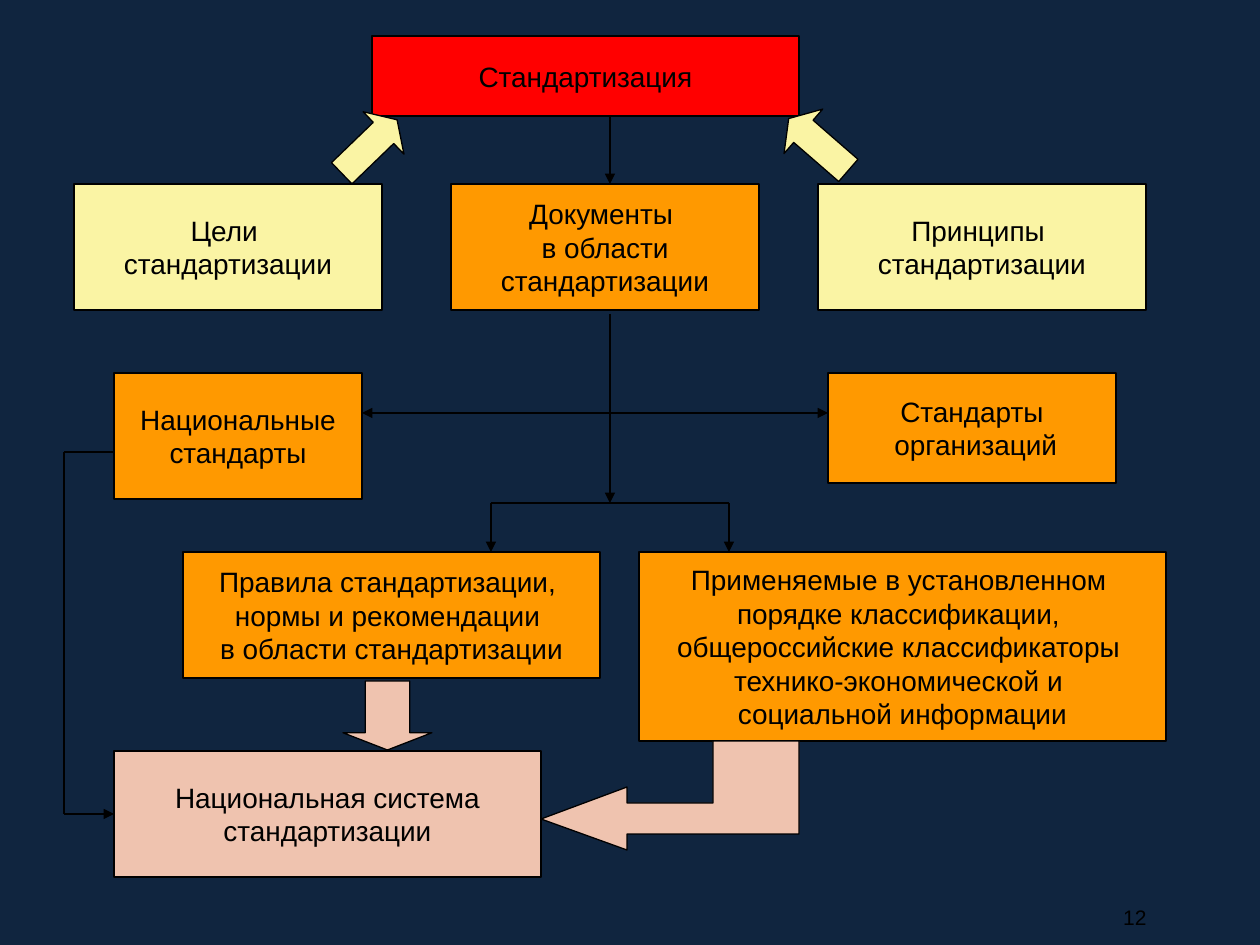
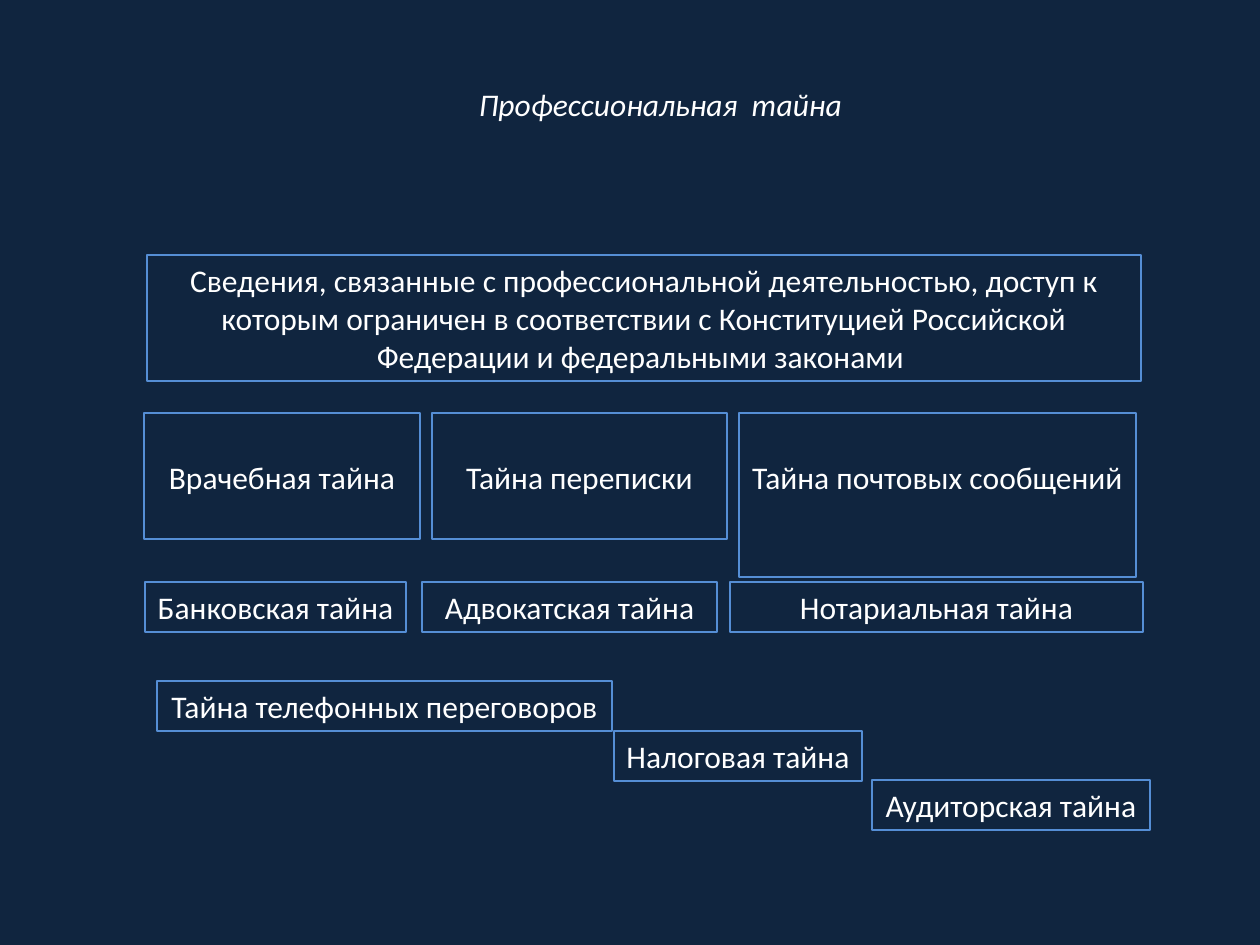
import dataclasses

import lxml.etree
import pptx
import pptx.dml.color
import pptx.enum.shapes
import pptx.enum.text
import pptx.oxml.ns
import pptx.util

SCALE = 914400 / 126
SHAPE = pptx.enum.shapes.MSO_SHAPE
ALIGN = pptx.enum.text.PP_ALIGN
ANCHOR = pptx.enum.text.MSO_ANCHOR
qn = pptx.oxml.ns.qn


@dataclasses.dataclass(frozen=True)
class Theme:
    navy: str = "10253F"
    red: str = "FF0000"
    cream: str = "FAF4A4"
    orange: str = "FF9900"
    peach: str = "EFC3AF"
    blue: str = "558ED5"
    black: str = "000000"
    white: str = "FFFFFF"
    sans: str = "Arial"
    soft: str = "Calibri"
    small: int = 12
    base: int = 16
    large: int = 18
    thin: float = 0.75
    frame: float = 1


THEME = Theme()


def px(count):
    return pptx.util.Emu(round(count * SCALE))


def rgb(code):
    return pptx.dml.color.RGBColor.from_string(code)


def write(shape, text, font, size, color, align=ALIGN.CENTER, italic=False):
    """Put text in a shape and format every run alike."""
    frame = shape.text_frame
    frame.text = text
    for para in frame.paragraphs:
        para.alignment = align
        for run in para.runs:
            run.font.name = font
            run.font.size = pptx.util.Pt(size)
            run.font.color.rgb = rgb(color)
            run.font.italic = italic
    return frame


def paint(shape, fill, line, width):
    shape.shadow.inherit = False
    if fill:
        shape.fill.solid()
        shape.fill.fore_color.rgb = rgb(fill)
    else:
        shape.fill.background()
    shape.line.color.rgb = rgb(line)
    shape.line.width = pptx.util.Pt(width)


class Area:
    """A box on a slide; its parts are placed relative to its corner."""

    def __init__(self, slide, left, top):
        self.shapes = slide.shapes
        self.left, self.top = left, top

    def spot(self, x, y):
        return px(self.left + x), px(self.top + y)

    def rect(self, x, y, wide, high, fill, line, width):
        shape = self.shapes.add_shape(
            SHAPE.RECTANGLE, *self.spot(x, y), px(wide), px(high))
        paint(shape, fill, line, width)
        return shape

    def node(self, x, y, wide, high, fill, text):
        shape = self.rect(x, y, wide, high, fill, THEME.black, THEME.thin)
        frame = write(shape, text, THEME.sans, THEME.base, THEME.black)
        frame.word_wrap = False
        frame.vertical_anchor = ANCHOR.MIDDLE
        return shape

    def card(self, x, y, wide, high, text, inset=6, wrap=False):
        shape = self.rect(x, y, wide, high, None, THEME.blue, THEME.frame)
        frame = write(shape, text, THEME.soft, THEME.large, THEME.white)
        frame.word_wrap = wrap
        frame.vertical_anchor = ANCHOR.TOP
        frame.margin_top = px(inset)

    def arrow(self, kind, x, y, wide, high, fill, head, turn=0):
        shape = self.shapes.add_shape(
            kind, *self.spot(x, y), px(wide), px(high))
        paint(shape, fill, THEME.black, THEME.thin)
        shape.adjustments[0] = 0.5
        shape.adjustments[1] = head
        shape.rotation = turn

    def line(self, start, end, tip=True):
        link = self.shapes.add_connector(
            pptx.enum.shapes.MSO_CONNECTOR.STRAIGHT,
            *self.spot(*start), *self.spot(*end))
        link.line.color.rgb = rgb(THEME.black)
        link.line.width = pptx.util.Pt(THEME.thin)
        props = link.element.spPr
        if tip:
            lxml.etree.SubElement(
                props.find(qn("a:ln")), qn("a:tailEnd"), type="triangle")
        lxml.etree.SubElement(props, qn("a:effectLst"))
        return link

    def outline(self, points, fill):
        spots = [(self.left + x, self.top + y) for x, y in points]
        pen = self.shapes.build_freeform(*spots[0], scale=SCALE)
        pen.add_line_segments(spots[1:], close=True)
        paint(pen.convert_to_shape(), fill, THEME.black, THEME.thin)


# Subject with its aims, documents and principles
def draw_top(slide, left, top):
    area = Area(slide, left, top)
    area.node(298, 0, 427, 80, THEME.red, "Стандартизация")
    for x, wide, fill, text in (
            (0, 308, THEME.cream, "Цели \nстандартизации"),
            (377, 308, THEME.orange, "Документы \nв области\nстандартизации"),
            (744, 328, THEME.cream, "Принципы \nстандартизации")):
        area.node(x, 148, wide, 126, fill, text)
    area.arrow(SHAPE.RIGHT_ARROW, 257, 81, 77, 59, THEME.cream, 0.32, 316)
    area.arrow(SHAPE.LEFT_ARROW, 705, 79, 79, 59, THEME.cream, 0.33, 41)
    area.line((536, 80), (536, 148))


# Four kinds of documents and the tree that leads to them
def draw_kinds(slide, left, top):
    area = Area(slide, left, top)
    for x, y, wide, high, text in (
            (0, 60, 248, 126, "Национальные\nстандарты"),
            (714, 60, 288, 110, "Стандарты\n организаций"),
            (69, 239, 417, 126, "Правила стандартизации, \n"
             "нормы и рекомендации \nв области стандартизации"),
            (525, 239, 527, 189, "Применяемые в установленном \n"
             "порядке классификации, \nобщероссийские классификаторы \n"
             "технико-экономической и \nсоциальной информации")):
        area.node(x, y, wide, high, THEME.orange, text)
    stem, fork = 496, 190
    area.line((stem, 1), (stem, fork))
    for x in (248, 714):
        area.line((stem, 100), (x, 100))
    twigs = (377, 615)
    area.line((twigs[0], fork), (twigs[1], fork), tip=False)
    for x in twigs:
        area.line((x, fork), (x, 239))


# National system and the arrows into it
def draw_system(slide, left, top):
    area = Area(slide, left, top)
    system = area.node(50, 299, 427, 126, THEME.peach,
                       "Национальная система\nстандартизации")
    area.arrow(SHAPE.DOWN_ARROW, 279, 229, 89, 69, THEME.peach, 0.25)
    area.outline(((477, 367), (563, 335), (563, 351), (649, 351), (649, 289),
                  (735, 289), (735, 382), (563, 382), (563, 398)), THEME.peach)
    area.line((50, 0), (0, 0), tip=False)
    area.line((0, 0), (0, 362), tip=False)
    area.line((0, 362), (50, 362)).end_connect(system, 1)


def draw_page(slide, left, top, text):
    box = slide.shapes.add_textbox(px(left), px(top), px(100), px(36))
    frame = write(box, text, THEME.sans, THEME.small, THEME.black, ALIGN.RIGHT)
    frame.word_wrap = True


def draw_title(slide, left, top, text):
    title = slide.shapes.title
    title.left, title.top = px(left), px(top)
    title.width, title.height = px(433), px(50)
    frame = write(title, text, THEME.soft, THEME.large, THEME.white,
                  italic=True)
    frame.vertical_anchor = ANCHOR.TOP


# Definition and the kinds of secrets below it
def draw_cards(slide, left, top):
    area = Area(slide, left, top)
    area.card(3, 0, 994, 126,
              "Сведения, связанные с профессиональной деятельностью, доступ к "
              "которым ограничен в соответствии с Конституцией Российской "
              "Федерации и федеральными законами ", wrap=True)
    for x, wide, high, text in (
            (0, 276, 126, "Врачебная тайна"),
            (288, 295, 126, "Тайна переписки"),
            (595, 397, 164, "Тайна почтовых сообщений")):
        area.card(x, 158, wide, high, text, inset=45)
    for x, y, wide, text in (
            (1, 327, 261, "Банковская тайна"),
            (278, 327, 295, "Адвокатская тайна"),
            (586, 327, 413, "Нотариальная тайна"),
            (13, 426, 455, "Тайна телефонных переговоров"),
            (470, 476, 248, "Налоговая тайна"),
            (728, 525, 278, "Аудиторская тайна")):
        area.card(x, y, wide, 50, text)


def main():
    deck = pptx.Presentation()
    deck.slide_width, deck.slide_height = px(1260), px(945)
    back = deck.slide_master.background.fill
    back.solid()
    back.fore_color.rgb = rgb(THEME.navy)

    chart = deck.slides.add_slide(deck.slide_layouts[6])
    draw_top(chart, 74, 36)
    draw_kinds(chart, 114, 313)
    draw_system(chart, 64, 452)
    draw_page(chart, 1059, 898, "12")

    secret = deck.slides.add_slide(deck.slide_layouts[5])
    draw_title(secret, 444, 79, "Профессиональная  тайна")
    draw_cards(secret, 144, 255)

    deck.save("out.pptx")


if __name__ == "__main__":
    main()
